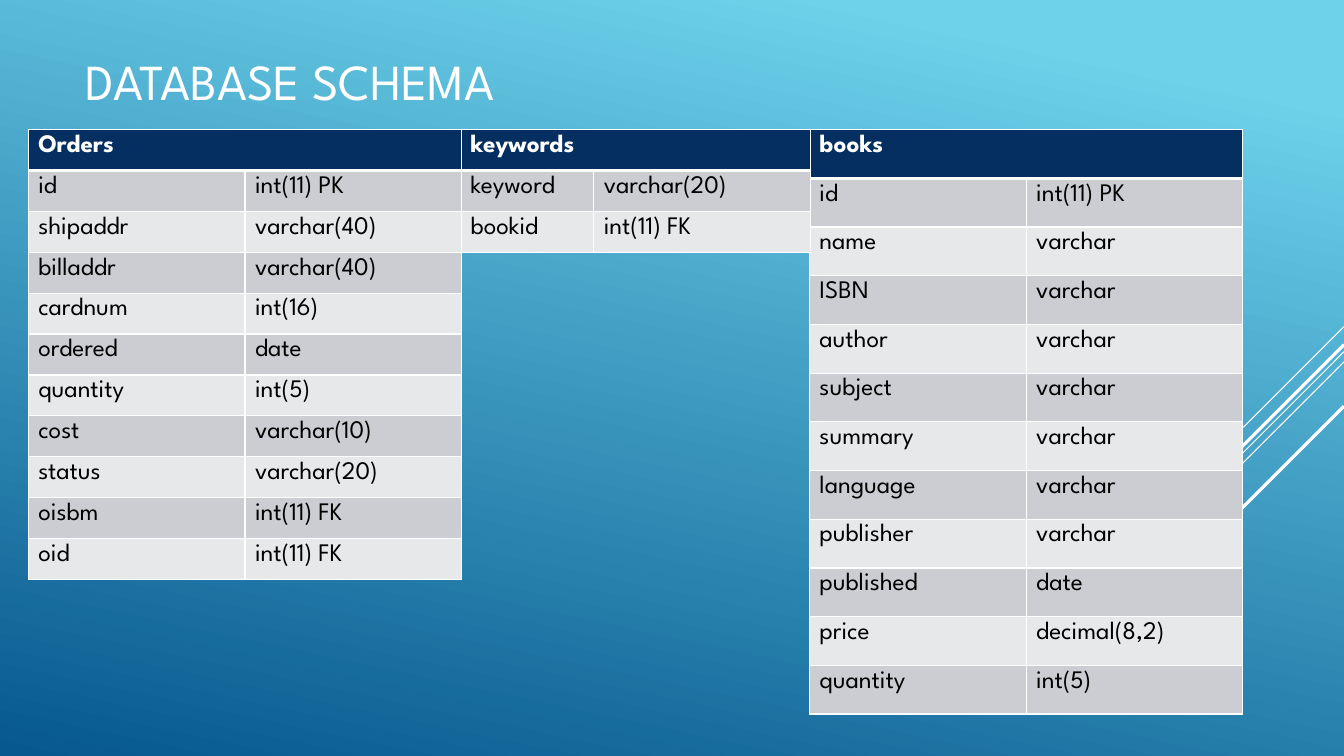
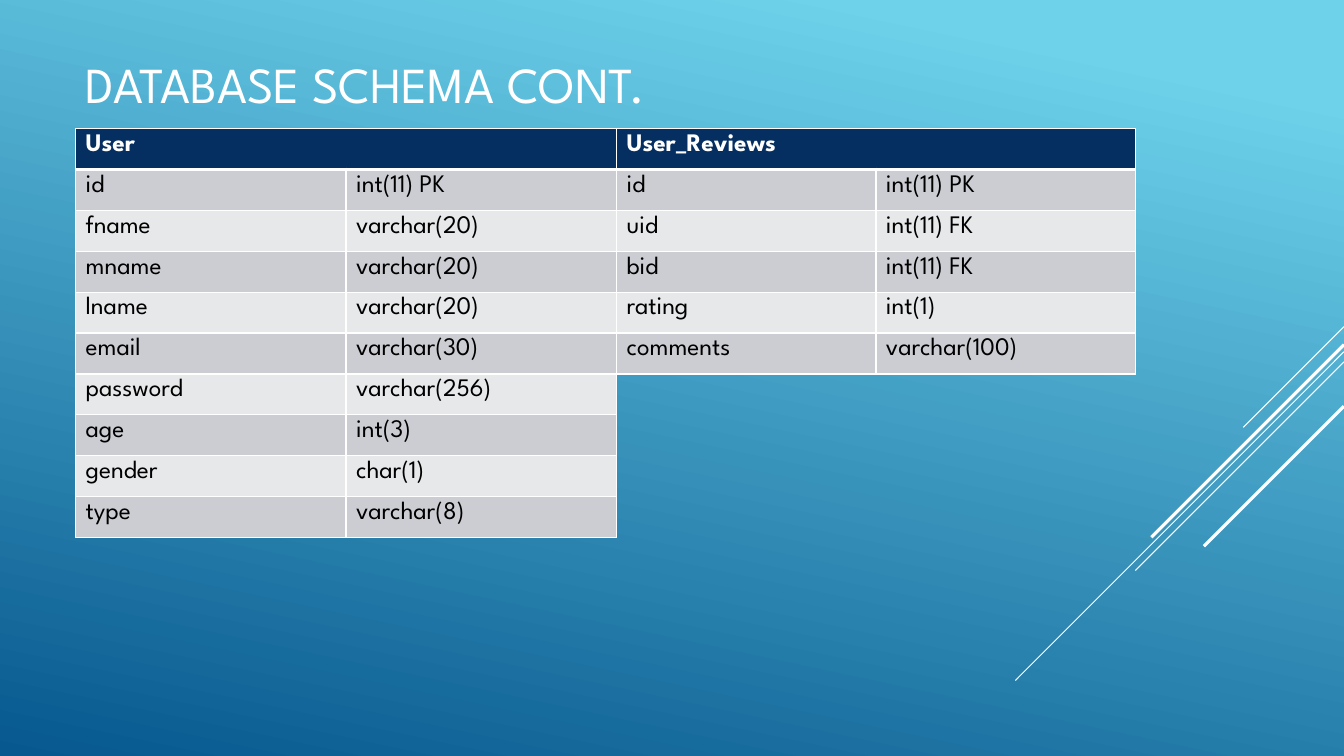
from dataclasses import dataclass

import lxml.etree
import pptx
import pptx.dml.color
import pptx.enum.shapes
import pptx.enum.text
import pptx.oxml.ns
import pptx.util


@dataclass(frozen=True)
class Theme:
    font: str = "League Spartan"
    title_size: float = 36
    body_size: float = 18
    white: str = "FFFFFF"
    black: str = "000000"
    header: str = "052F61"
    bands: tuple = ("CCCDD2", "E7E8EA")
    gradient: tuple = ((0.1, "6ED2EB"), (1, "06588E"))
    gradient_angle: float = 258
    thin_border: float = 1
    thick_border: float = 3
    thin_line: float = 0.75
    thick_line: float = 2.25


COLUMNS, ROWS, CELLS_PER_INCH = 160, 90, 12
ROW_HEIGHT, TALL_ROW_HEIGHT = 4.87, 5.8

ORDERS = [
    ("id", "int(11) PK"), ("shipaddr", "varchar(40)"), ("billaddr", "varchar(40)"),
    ("cardnum", "int(16)"), ("ordered", "date"), ("quantity", "int(5)"),
    ("cost", "varchar(10)"), ("status", "varchar(20)"), ("oisbm", "int(11) FK"),
    ("oid", "int(11) FK"),
]
KEYWORDS = [("keyword", "varchar(20)"), ("bookid", "int(11) FK")]
BOOKS = [
    ("id", "int(11) PK"), ("name", "varchar"), ("ISBN", "varchar"),
    ("author", "varchar"), ("subject", "varchar"), ("summary", "varchar"),
    ("language", "varchar"), ("publisher", "varchar"), ("published", "date"),
    ("price", "decimal(8,2)"), ("quantity", "int(5)"),
]
USER = [
    ("id", "int(11) PK"), ("fname", "varchar(20)"), ("mname", "varchar(20)"),
    ("lname", "varchar(20)"), ("email", "varchar(30)"), ("password", "varchar(256)"),
    ("age", "int(3)"), ("gender", "char(1)"), ("type", "varchar(8)"),
]
USER_REVIEWS = [
    ("id", "int(11) PK"), ("uid", "int(11) FK"), ("bid", "int(11) FK"),
    ("rating", "int(1)"), ("comments", "varchar(100)"),
]


def grid(cells):
    return pptx.util.Inches(cells / CELLS_PER_INCH)


def color(value):
    return pptx.dml.color.RGBColor.from_string(value)


class Deck:
    def __init__(self, theme):
        self.theme = theme
        self.presentation = pptx.Presentation()
        self.presentation.slide_width = grid(COLUMNS)
        self.presentation.slide_height = grid(ROWS)
        self.slide = None
        self.fill_background()

    def fill_background(self):
        fill = self.presentation.slide_master.background.fill
        fill.gradient()
        fill.gradient_angle = self.theme.gradient_angle
        for stop, (position, value) in zip(fill.gradient_stops, self.theme.gradient):
            stop.position = position
            stop.color.rgb = color(value)

    def add_slide(self, title, top, height):
        layout = self.presentation.slide_layouts.get_by_name("Title Only")
        self.slide = self.presentation.slides.add_slide(layout)
        self.add_diagonals()
        self.format_title(title, top, height)

    def add_diagonals(self):
        thin, thick = self.theme.thin_line, self.theme.thick_line
        diagonals = (
            (38.88, 12, thin), (41.88, 39.12, thin), (43.08, 24.84, thin),
            (41.04, 22.92, thick), (48.36, 16.68, thick),
        )
        for top, reach, width in diagonals:
            self.add_line(COLUMNS, top, COLUMNS - reach, top + reach, width)

    def add_line(self, start_x, start_y, end_x, end_y, width):
        line = self.slide.shapes.add_connector(
            pptx.enum.shapes.MSO_CONNECTOR.STRAIGHT,
            grid(start_x), grid(start_y), grid(end_x), grid(end_y),
        )
        line.line.color.rgb = color(self.theme.white)
        line.line.width = pptx.util.Pt(width)
        properties = line._element.spPr
        lxml.etree.SubElement(properties, pptx.oxml.ns.qn("a:effectLst"))

    def format_title(self, text, top, height):
        title = self.slide.shapes.title
        title.left, title.top = grid(9), grid(top)
        title.width, title.height = grid(112), grid(height)
        frame = title.text_frame
        frame.text = text
        frame.word_wrap = True
        frame.auto_size = pptx.enum.text.MSO_AUTO_SIZE.NONE
        frame.vertical_anchor = pptx.enum.text.MSO_ANCHOR.MIDDLE
        self.format_text(frame, self.theme.title_size, self.theme.white)

    def format_text(self, frame, size, value, bold=False):
        for paragraph in frame.paragraphs:
            paragraph.alignment = pptx.enum.text.PP_ALIGN.LEFT
            for run in paragraph.runs:
                run.font.name = self.theme.font
                run.font.size = pptx.util.Pt(size)
                run.font.bold = bold
                run.font.color.rgb = color(value)

    def add_schema(self, name, fields, left, top, widths, row_height=ROW_HEIGHT):
        row_count = len(fields) + 1
        table = self.slide.shapes.add_table(
            row_count, len(widths), grid(left), grid(top),
            grid(sum(widths)), grid(row_height * row_count),
        ).table
        table.horz_banding = False
        for column, width in zip(table.columns, widths):
            column.width = grid(width)
        for row in table.rows:
            row.height = grid(row_height)
        for row_index, texts in enumerate([(name, ""), *fields]):
            for column_index, text in enumerate(texts):
                self.format_cell(table.cell(row_index, column_index), text, row_index)
        table.cell(0, 0).merge(table.cell(0, len(widths) - 1))

    def format_cell(self, cell, text, row_index):
        theme = self.theme
        is_header = row_index == 0
        self.add_borders(cell, row_index)
        cell.fill.solid()
        band = theme.bands[(row_index - 1) % len(theme.bands)]
        cell.fill.fore_color.rgb = color(theme.header if is_header else band)
        cell.text_frame.text = text
        text_color = theme.white if is_header else theme.black
        self.format_text(cell.text_frame, theme.body_size, text_color, is_header)

    def add_borders(self, cell, row_index):
        qualify = pptx.oxml.ns.qn
        properties = cell._tc.get_or_add_tcPr()
        thick_edge = {0: "B", 1: "T"}.get(row_index)
        for edge in "LRTB":
            width = self.theme.thick_border if edge == thick_edge else self.theme.thin_border
            border = lxml.etree.SubElement(
                properties, qualify(f"a:ln{edge}"), w=str(pptx.util.Pt(width))
            )
            fill = lxml.etree.SubElement(border, qualify("a:solidFill"))
            lxml.etree.SubElement(fill, qualify("a:srgbClr"), val=self.theme.white)


def main():
    deck = Deck(Theme())

    deck.add_slide("DATABASE SCHEMA", 4.8, 9.5)
    deck.add_schema("books", BOOKS, 96.36, 15.44, (25.8, 25.8), TALL_ROW_HEIGHT)
    deck.add_schema("keywords", KEYWORDS, 54.84, 15.44, (15.84, 25.8))
    deck.add_schema("Orders", ORDERS, 3.36, 15.44, (25.8, 25.8))

    deck.add_slide("DATABASE SCHEMA CONT.", 4.44, 10.92)
    deck.add_schema("User", USER, 9, 15.32, (32.2, 32.2))
    deck.add_schema("User_Reviews", USER_REVIEWS, 73.4, 15.32, (30.88, 30.88))

    deck.presentation.save("out.pptx")


if __name__ == "__main__":
    main()
